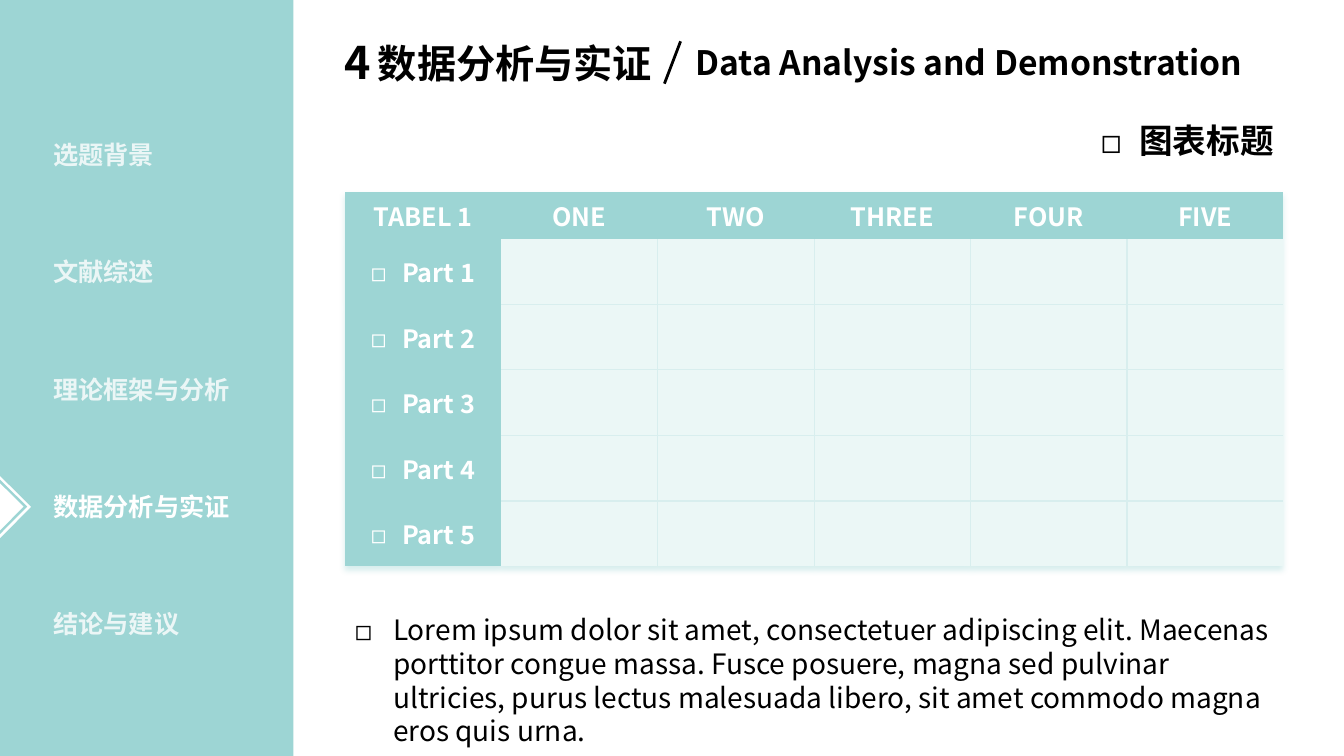
from lxml import etree
from pptx import Presentation
from pptx.dml.color import RGBColor
from pptx.enum import shapes, text
from pptx.oxml import ns
from pptx.util import Inches, Pt

FONT = "Noto Sans CJK SC"
COLORS = {"teal": "9DD5D4", "pale": "EBF7F6", "grid": "D8EEEE", "white": "FFFFFF", "black": "000000"}
SECTIONS = ["选题背景", "文献综述", "理论框架与分析", "数据分析与实证", "结论与建议"]
CURRENT = 3
TITLES = [
    ("4", (3.32, 0.3, 0.43, 0.64), 32),
    ("数据分析与实证", (3.65, 0.34, 3.15, 0.57), 28),
    ("Data Analysis and Demonstration", (6.8, 0.37, 5.93, 0.5), 24),
]
HEADERS = ["TABEL 1", "ONE", "TWO", "THREE", "FOUR", "FIVE"]
PARTS = ["Part 1", "Part 2", "Part 3", "Part 4", "Part 5"]
CAPTION = "图表标题"
BODY = ("Lorem ipsum dolor sit amet, consectetuer adipiscing elit. Maecenas porttitor congue massa. "
        "Fusce posuere, magna sed pulvinar ultricies, purus lectus malesuada libero, "
        "sit amet commodo magna eros quis urna.")
MARKER = [(0.45, 0.45, "white"), (0.4, 0.39, "teal"), (0.35, 0.34, "white")]
MARKER_CENTER = (-0.01, 5.03)
CONTENT_LEFT, CONTENT_WIDTH = 3.42, 9.31
HEADER_HEIGHT, ROW_HEIGHT = 0.47, 0.65
NO_STYLE = "{2D5ABB26-0587-4C30-8999-92F81FD0307C}"


def rgb(name):
    return RGBColor.from_string(COLORS[name])


def add_child(parent, tag, **attributes):
    return etree.SubElement(parent, ns.qn(tag), attributes)


def write(frame, words, size, color, bold=True, align=None, indent=None, alpha=None):
    paragraph = frame.paragraphs[0]
    paragraph.alignment = align
    if indent:
        properties = paragraph._p.get_or_add_pPr()
        properties.set("marL", str(Inches(indent)))
        properties.set("indent", str(-Inches(indent)))
        add_child(properties, "a:buFont", typeface=FONT)
        add_child(properties, "a:buChar", char="◻")
    run = paragraph.add_run()
    run.text = words
    run.font.name = FONT
    run.font.size = Pt(size)
    run.font.bold = bold
    run.font.color.rgb = rgb(color)
    add_child(run._r.rPr, "a:ea", typeface=FONT)
    if alpha:
        add_child(run._r.rPr.find(".//" + ns.qn("a:srgbClr")), "a:alpha", val=str(alpha * 1000))


def add_text(slide, box, words, size, color="black", wrap=True, **style):
    frame = slide.shapes.add_textbox(*map(Inches, box)).text_frame
    frame.word_wrap = wrap
    frame.auto_size = text.MSO_AUTO_SIZE.SHAPE_TO_FIT_TEXT
    write(frame, words, size, color, **style)


def add_block(slide, kind, box, color):
    shape = slide.shapes.add_shape(kind, *map(Inches, box))
    shape.shadow.inherit = False
    shape.fill.solid()
    shape.fill.fore_color.rgb = rgb(color)
    shape.line.fill.background()
    return shape


def add_sidebar(slide):
    add_block(slide, shapes.MSO_SHAPE.RECTANGLE, (0, 0, 2.91, 7.5), "teal")
    for index, section in enumerate(SECTIONS):
        add_text(slide, (0.43, 1.33 + index * 1.165, 1.98, 0.4), section, 18, "white",
                 align=text.PP_ALIGN.JUSTIFY, alpha=None if index == CURRENT else 80)
    center_x, center_y = MARKER_CENTER
    for width, height, color in MARKER:
        box = (center_x - width / 2, center_y - height / 2, width, height)
        triangle = add_block(slide, shapes.MSO_SHAPE.RIGHT_TRIANGLE, box, color)
        triangle.rotation = 134.7
        triangle._element.spPr.xfrm.set("flipV", "1")


def add_title(slide):
    for words, box, size in TITLES:
        add_text(slide, box, words, size, wrap=len(words) > 1)
    slash = slide.shapes.add_connector(shapes.MSO_CONNECTOR.STRAIGHT,
                                       *map(Inches, (6.75, 0.41, 6.59, 0.83)))
    slash.line.color.rgb = rgb("black")
    slash.line.width = Pt(2)
    add_child(slash._element.spPr, "a:effectLst")


def set_borders(cell, sides):
    properties = cell._tc.get_or_add_tcPr()
    for side in ("L", "R", "T", "B"):
        if side in sides:
            line = add_child(properties, "a:ln" + side, w=str(Pt(1)))
            add_child(add_child(line, "a:solidFill"), "a:srgbClr", val=COLORS["grid"])


def add_data_table(slide):
    rows, columns = len(PARTS) + 1, len(HEADERS)
    height = HEADER_HEIGHT + ROW_HEIGHT * len(PARTS)
    frame = slide.shapes.add_table(rows, columns, *map(Inches, (CONTENT_LEFT, 1.9, CONTENT_WIDTH, height)))
    table = frame.table
    table.horz_banding = False
    properties = table._tbl.tblPr
    style = properties.find(ns.qn("a:tableStyleId"))
    style.text = NO_STYLE
    effects = etree.Element(ns.qn("a:effectLst"))
    shadow = add_child(effects, "a:outerShdw", blurRad=str(Pt(4)), dist=str(Pt(3)), dir="5400000",
                       algn="t", rotWithShape="0")
    add_child(add_child(shadow, "a:srgbClr", val=COLORS["teal"]), "a:alpha", val="40000")
    style.addprevious(effects)
    for column in table.columns:
        column.width = Inches(CONTENT_WIDTH / columns)
    for row_index, row in enumerate(table.rows):
        row.height = Inches(ROW_HEIGHT if row_index else HEADER_HEIGHT)
        for column_index, cell in enumerate(row.cells):
            labelled = row_index == 0 or column_index == 0
            if labelled:
                cell.vertical_anchor = text.MSO_ANCHOR.MIDDLE
                words = PARTS[row_index - 1] if row_index else HEADERS[column_index]
                write(cell.text_frame, words, 18, "white", align=text.PP_ALIGN.CENTER,
                      indent=0.31 if row_index else None)
            else:
                inner = {"L": column_index > 1, "R": column_index < columns - 1,
                         "T": row_index > 1, "B": row_index < rows - 1}
                set_borders(cell, [side for side, drawn in inner.items() if drawn])
            cell.fill.solid()
            cell.fill.fore_color.rgb = rgb("teal" if labelled else "pale")


def main():
    presentation = Presentation()
    presentation.slide_width = Inches(13.33)
    presentation.slide_height = Inches(7.5)
    slide = presentation.slides.add_slide(presentation.slide_layouts[6])
    add_sidebar(slide)
    add_title(slide)
    add_data_table(slide)
    add_text(slide, (CONTENT_LEFT, 6.03, CONTENT_WIDTH, 1.11), BODY, 20, bold=False, indent=0.38)
    add_text(slide, (CONTENT_LEFT, 1.14, CONTENT_WIDTH, 0.5), CAPTION, 24,
             align=text.PP_ALIGN.RIGHT, indent=0.38)
    presentation.save("out.pptx")


if __name__ == "__main__":
    main()
